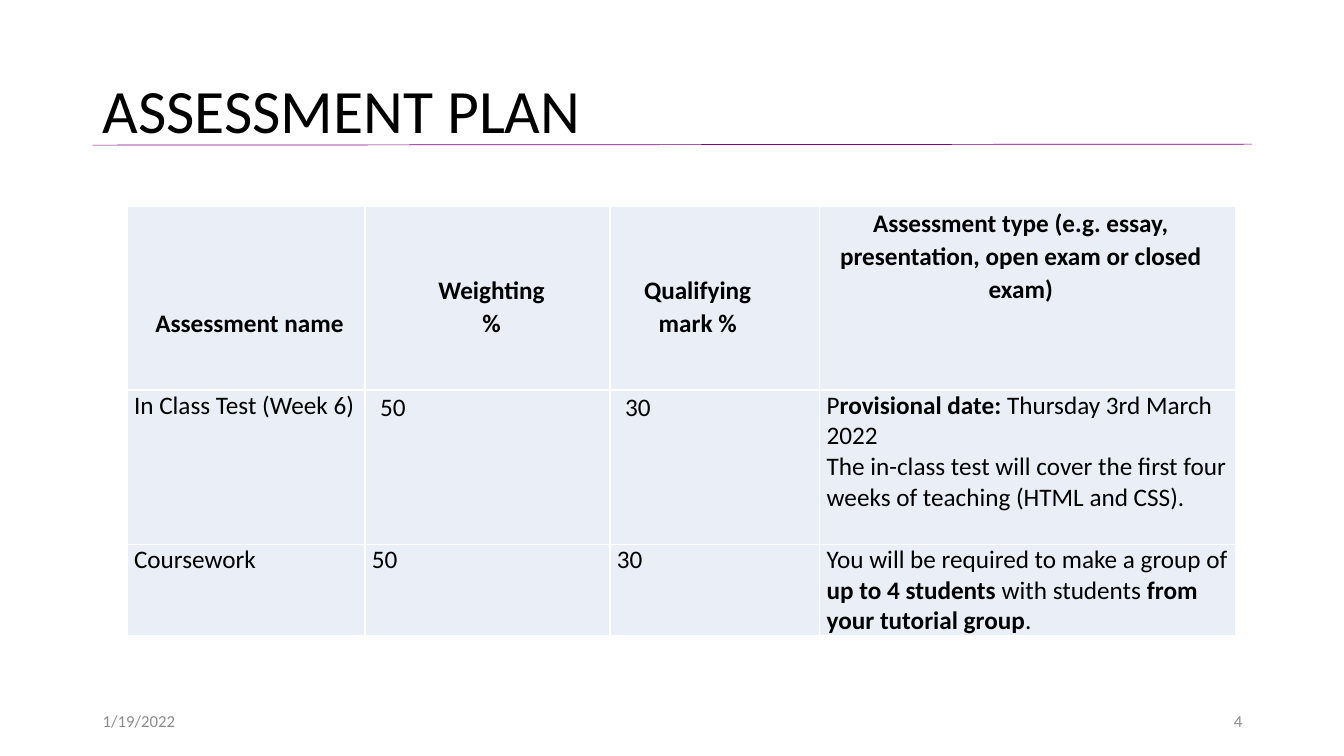
from lxml import etree
from pptx import Presentation
from pptx.dml.color import RGBColor
from pptx.enum import shapes, text
from pptx.oxml.ns import qn
from pptx.util import Inches, Pt

INK = {"text": "000000", "rule": "800080", "cell": "EAEFF7", "edge": "FFFFFF", "foot": "8C8C8C"}
WIDE, HIGH = 13.33, 7.5
SIDE, SPAN = 0.92, 11.5
COLS = [2.36, 2.43, 2.08, 4.13]
ROWS = [1.82, 1.53, 0.91]
PAD, STEP, LEAD = 0.07, 0.33, 1.07
HEADS = [
    ("Assessment name", 3, 0.14, PAD),
    ("Weighting\n%", 2, 0.15, PAD),
    ("Qualifying mark %", 2, 0.15, 0.49),
    ("Assessment type (e.g. essay, presentation, open exam or closed exam)", 0, 0.14, 0.28),
]
TEST = [
    [("P", False), ("rovisional date: ", True), ("Thursday 3rd March 2022", False)],
    [("The in-class test will cover the first four weeks of teaching (HTML and CSS).", False)],
]
WORK = [[
    ("You will be required to make a group of", False), (" up to 4 students", True),
    (" with students ", False), ("from your tutorial group", True), (".", False),
]]
BODY = [
    ("In Class Test (Week 6)", "50", "30", TEST),
    ("Coursework", "50", "30", WORK),
]


def tint(key):
    """Return the named colour."""
    return RGBColor.from_string(INK[key])


def style(para, size, key="text", align=text.PP_ALIGN.LEFT):
    """Set the font and alignment of a paragraph."""
    para.font.name = "Calibri"
    para.font.size = Pt(size)
    para.font.color.rgb = tint(key)
    para.alignment = align


def label(slide, box, words, size, key="text", align=text.PP_ALIGN.LEFT):
    """Place one line of text, centred vertically in its box."""
    frame = slide.shapes.add_textbox(*map(Inches, box)).text_frame
    frame.word_wrap = True
    frame.vertical_anchor = text.MSO_ANCHOR.MIDDLE
    para = frame.paragraphs[0]
    para.text = words
    para.line_spacing = 0.9 if size > 40 else 1.0
    style(para, size, key, align)


def title(slide, box, words):
    """Place the heading and the rule under it."""
    left, top, width, height = box
    label(slide, box, words, 44)
    low = top + height - 0.41
    rule = slide.shapes.add_connector(
        shapes.MSO_CONNECTOR.STRAIGHT,
        *map(Inches, (left, low, left + width, low - 0.01)))
    rule.line.color.rgb = tint("rule")
    rule.line.width = Pt(0.5)
    etree.SubElement(rule._element.spPr, qn("a:effectLst"))


def edge(cell):
    """Draw thin light borders and fill a cell."""
    props = cell._tc.get_or_add_tcPr()
    for side in ("lnL", "lnR", "lnT", "lnB"):
        line = etree.SubElement(props, qn("a:" + side), w=str(Pt(1)))
        fill = etree.SubElement(line, qn("a:solidFill"))
        etree.SubElement(fill, qn("a:srgbClr"), val=INK["edge"])
    cell.fill.solid()
    cell.fill.fore_color.rgb = tint("cell")


def inset(cell, left=PAD, top=0, right=PAD):
    """Set the margins of a cell."""
    cell.margin_left, cell.margin_top = Inches(left), Inches(top)
    cell.margin_right, cell.margin_bottom = Inches(right), 0


def head(cell, words, skip, left, right):
    """Fill a heading cell, set down by a number of lines."""
    edge(cell)
    inset(cell, left, skip * STEP, right)
    cell.text = words
    for para in cell.text_frame.paragraphs:
        style(para, 18, align=text.PP_ALIGN.CENTER)
        para.font.bold = True
        para.line_spacing = LEAD


def entry(cell, item, inner):
    """Fill a body cell with plain text or with paragraphs of mixed weight."""
    edge(cell)
    inset(cell, PAD + 0.08 if inner else PAD)
    frame = cell.text_frame
    parts = [[(item, False)]] if isinstance(item, str) else item
    for i, runs in enumerate(parts):
        para = frame.add_paragraph() if i else frame.paragraphs[0]
        for words, bold in runs:
            run = para.add_run()
            run.text = words
            run.font.bold = bold
        style(para, 18)
        if inner:
            para.line_spacing = LEAD
            para.space_before = Pt(3)


def plan(slide, left, top):
    """Build the assessment table at the given corner."""
    box = map(Inches, (left, top, sum(COLS), sum(ROWS)))
    grid = slide.shapes.add_table(len(ROWS), len(COLS), *box).table
    for col, width in zip(grid.columns, COLS):
        col.width = Inches(width)
    for row, height in zip(grid.rows, ROWS):
        row.height = Inches(height)
    for c, spec in enumerate(HEADS):
        head(grid.cell(0, c), *spec)
    for r, items in enumerate(BODY, 1):
        for c, item in enumerate(items):
            entry(grid.cell(r, c), item, r == 1 and c in (1, 2))


def foot(slide, box, date, page):
    """Place the date at the left and the page number at the right."""
    left, top, width, height = box
    part = 3
    label(slide, (left, top, part, height), date, 12, "foot")
    label(slide, (left + width - part, top, part, height), page, 12, "foot", text.PP_ALIGN.RIGHT)


def main():
    """Build and save the slide."""
    deck = Presentation()
    deck.slide_width, deck.slide_height = Inches(WIDE), Inches(HIGH)
    slide = deck.slides.add_slide(deck.slide_layouts[6])
    title(slide, (SIDE, 0.4, SPAN, 1.45), "ASSESSMENT PLAN")
    plan(slide, 1.26, 2.05)
    foot(slide, (SIDE, 6.95, SPAN, 0.4), "1/19/2022", "4")
    deck.save("out.pptx")


if __name__ == "__main__":
    main()
